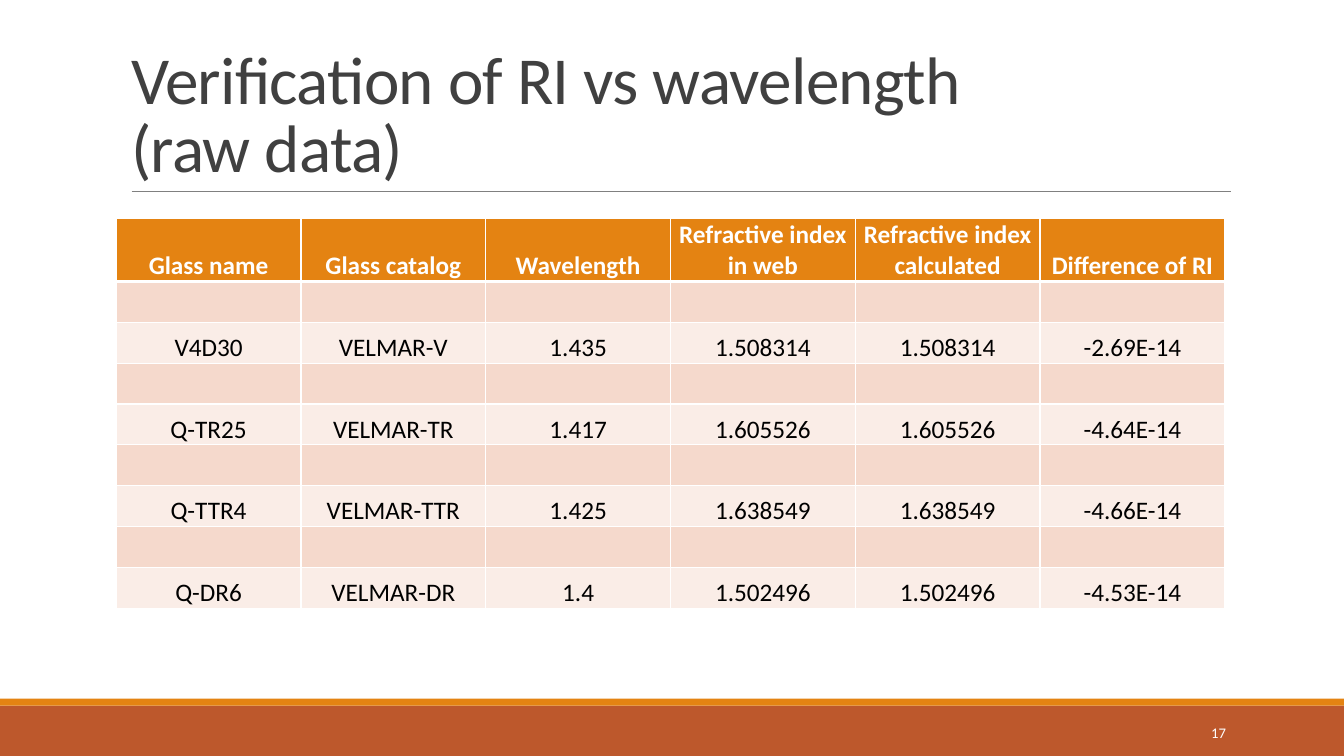
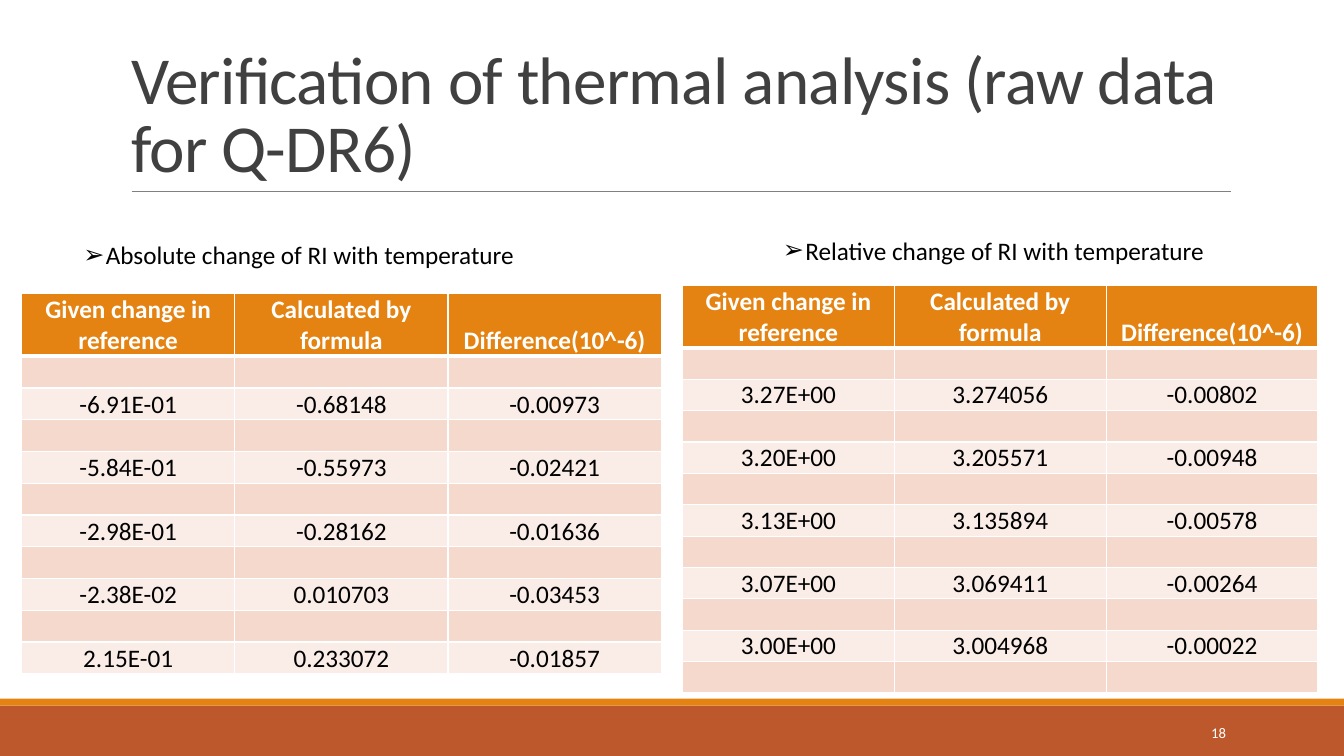
from lxml import etree
from pptx import Presentation
from pptx.dml.color import RGBColor
from pptx.enum import shapes, text
from pptx.oxml import ns
from pptx.util import Pt

# Content
GLASS = [
    ("Glass name", "Glass catalog", "Wavelength", "Refractive index in web",
     "Refractive index calculated", "Difference of RI"),
    ("V4D30", "VELMAR-V", "1.435", "1.508314", "1.508314", "-2.69E-14"),
    ("Q-TR25", "VELMAR-TR", "1.417", "1.605526", "1.605526", "-4.64E-14"),
    ("Q-TTR4", "VELMAR-TTR", "1.425", "1.638549", "1.638549", "-4.66E-14"),
    ("Q-DR6", "VELMAR-DR", "1.4", "1.502496", "1.502496", "-4.53E-14"),
]
THERMAL_HEAD = ("Given change in reference", "Calculated by formula", "Difference(10^-6)")
ABSOLUTE = [
    THERMAL_HEAD,
    ("-6.91E-01", "-0.68148", "-0.00973"),
    ("-5.84E-01", "-0.55973", "-0.02421"),
    ("-2.98E-01", "-0.28162", "-0.01636"),
    ("-2.38E-02", "0.010703", "-0.03453"),
    ("2.15E-01", "0.233072", "-0.01857"),
]
RELATIVE = [
    THERMAL_HEAD,
    ("3.27E+00", "3.274056", "-0.00802"),
    ("3.20E+00", "3.205571", "-0.00948"),
    ("3.13E+00", "3.135894", "-0.00578"),
    ("3.07E+00", "3.069411", "-0.00264"),
    ("3.00E+00", "3.004968", "-0.00022"),
]

# Tables: rows, left, top, width, header height, row height, ends with an empty row
# Captions: text, left, top, width
SLIDES = [
    {"number": 17, "title": ["Verification of RI vs wavelength ", "(raw data)"],
     "tables": [(GLASS, 83, 156, 792, 45, 29.2, False)], "captions": []},
    {"number": 18, "title": ["Verification of thermal analysis (raw data for Q-DR6)"],
     "tables": [(ABSOLUTE, 15.4, 209.5, 457, 45, 22.7, False),
                (RELATIVE, 487.5, 204.2, 454, 44.2, 22.4, True)],
     "captions": [("Absolute change of RI with temperature", 32.4, 167.5, 362),
                  ("Relative change of RI with temperature", 511.2, 164.5, 397)]},
]

# Shared look
FONT = "Calibri"
WIDTH, HEIGHT = 960, 540
RUST, ORANGE, RULE, TITLE = "BD582C", "E48312", "808080", "404040"
WHITE, BLACK = "FFFFFF", "000000"
EMPTY_ROW, DATA_ROW = "F5D9CC", "FAEDE7"


def rgb(value):
    return RGBColor.from_string(value)


def add_run(p, words, size, color, bold=False):
    r = p.add_run()
    r.text = words
    r.font.name, r.font.size, r.font.bold = FONT, Pt(size), bold
    r.font.color.rgb = rgb(color)
    return r


def add_text(s, box, words, size, color, align, anchor):
    tf = s.shapes.add_textbox(*map(Pt, box)).text_frame
    tf.word_wrap = True
    tf.vertical_anchor = anchor
    p = tf.paragraphs[0]
    p.alignment = align
    add_run(p, words, size, color)
    return p


def build_layout(layout, s):
    """Draw the bands and the title rule on s, then hand them to the layout."""
    parts = []
    for top, height, color in ((504, 36, RUST), (499, 5, ORANGE)):
        band = s.shapes.add_shape(shapes.MSO_SHAPE.RECTANGLE, 0, Pt(top), Pt(WIDTH), Pt(height))
        band.shadow.inherit = False
        band.fill.solid()
        band.fill.fore_color.rgb = rgb(color)
        band.line.fill.background()
        parts.append(band)
    rule = s.shapes.add_connector(shapes.MSO_CONNECTOR.STRAIGHT,
                                  Pt(94), Pt(136.6), Pt(879), Pt(136.6))
    rule.line.color.rgb, rule.line.width = rgb(RULE), Pt(0.5)
    etree.SubElement(rule.element.spPr, ns.qn("a:effectLst"))
    parts.append(rule)
    for i, part in enumerate(parts):
        layout.element.cSld.spTree.insert(2 + i, part.element)
    for sp in layout.placeholders:
        if sp.placeholder_format.type == shapes.PP_PLACEHOLDER.TITLE:
            sp.left, sp.top, sp.width, sp.height = map(Pt, (86.4, 22.6, 792, 114.2))


def set_title(s, lines):
    tf = s.shapes.title.text_frame
    tf.word_wrap, tf.auto_size = True, text.MSO_AUTO_SIZE.NONE
    tf.vertical_anchor = text.MSO_ANCHOR.BOTTOM
    p = tf.paragraphs[0]
    p.alignment, p.line_spacing = text.PP_ALIGN.LEFT, 0.85
    for i, line in enumerate(lines):
        if i:
            p.add_line_break()
        r = add_run(p, line, 48, TITLE)
        r._r.get_or_add_rPr().set("spc", "-50")


def set_borders(cell, top, bottom):
    tc_pr = cell._tc.get_or_add_tcPr()
    for i, (side, width) in enumerate((("L", 1), ("R", 1), ("T", top), ("B", bottom))):
        ln = etree.Element(ns.qn("a:ln" + side), w=str(Pt(width)))
        fill = etree.SubElement(ln, ns.qn("a:solidFill"))
        etree.SubElement(fill, ns.qn("a:srgbClr"), val=WHITE)
        tc_pr.insert(i, ln)


def add_table(s, rows, left, top, width, head_height, row_height, empty_end):
    # An empty row stands before every data row
    head, *data = rows
    empty = ("",) * len(head)
    grid = [head] + [row for values in data for row in (empty, values)]
    if empty_end:
        grid.append(empty)
    height = head_height + row_height * (len(grid) - 1)
    table = s.shapes.add_table(len(grid), len(head), *map(Pt, (left, top, width, height))).table
    for column in table.columns:
        column.width = Pt(width / len(head))
    for i, values in enumerate(grid):
        table.rows[i].height = Pt(row_height if i else head_height)
        color = ORANGE if i == 0 else EMPTY_ROW if i % 2 else DATA_ROW
        for j, words in enumerate(values):
            cell = table.cell(i, j)
            cell.margin_left = cell.margin_right = cell.margin_top = Pt(0.4)
            cell.margin_bottom = 0
            cell.vertical_anchor = text.MSO_ANCHOR.BOTTOM
            cell.fill.solid()
            cell.fill.fore_color.rgb = rgb(color)
            set_borders(cell, 3 if i == 1 else 1, 1 if i else 3)
            if words:
                p = cell.text_frame.paragraphs[0]
                p.alignment = text.PP_ALIGN.CENTER
                add_run(p, words, 18, BLACK if i else WHITE, bold=i == 0)


def add_caption(s, words, left, top, width):
    p = add_text(s, (left, top, width, 29), words, 18, BLACK,
                 text.PP_ALIGN.CENTER, text.MSO_ANCHOR.TOP)
    p_pr = p._p.get_or_add_pPr()
    p_pr.set("marL", str(Pt(16)))
    p_pr.set("indent", str(-Pt(16)))
    etree.SubElement(p_pr, ns.qn("a:buFont"), typeface=FONT)
    etree.SubElement(p_pr, ns.qn("a:buChar"), char="➢")


def main():
    prs = Presentation()
    prs.slide_width, prs.slide_height = Pt(WIDTH), Pt(HEIGHT)
    layout = prs.slide_layouts.get_by_name("Title Only")
    for i, content in enumerate(SLIDES):
        s = prs.slides.add_slide(layout)
        if i == 0:
            build_layout(layout, s)
        set_title(s, content["title"])
        for table in content["tables"]:
            add_table(s, *table)
        for caption in content["captions"]:
            add_caption(s, *caption)
        add_text(s, (779.8, 508.7, 103, 29), str(content["number"]), 10.5, WHITE,
                 text.PP_ALIGN.RIGHT, text.MSO_ANCHOR.MIDDLE)
    prs.save("out.pptx")


if __name__ == "__main__":
    main()
